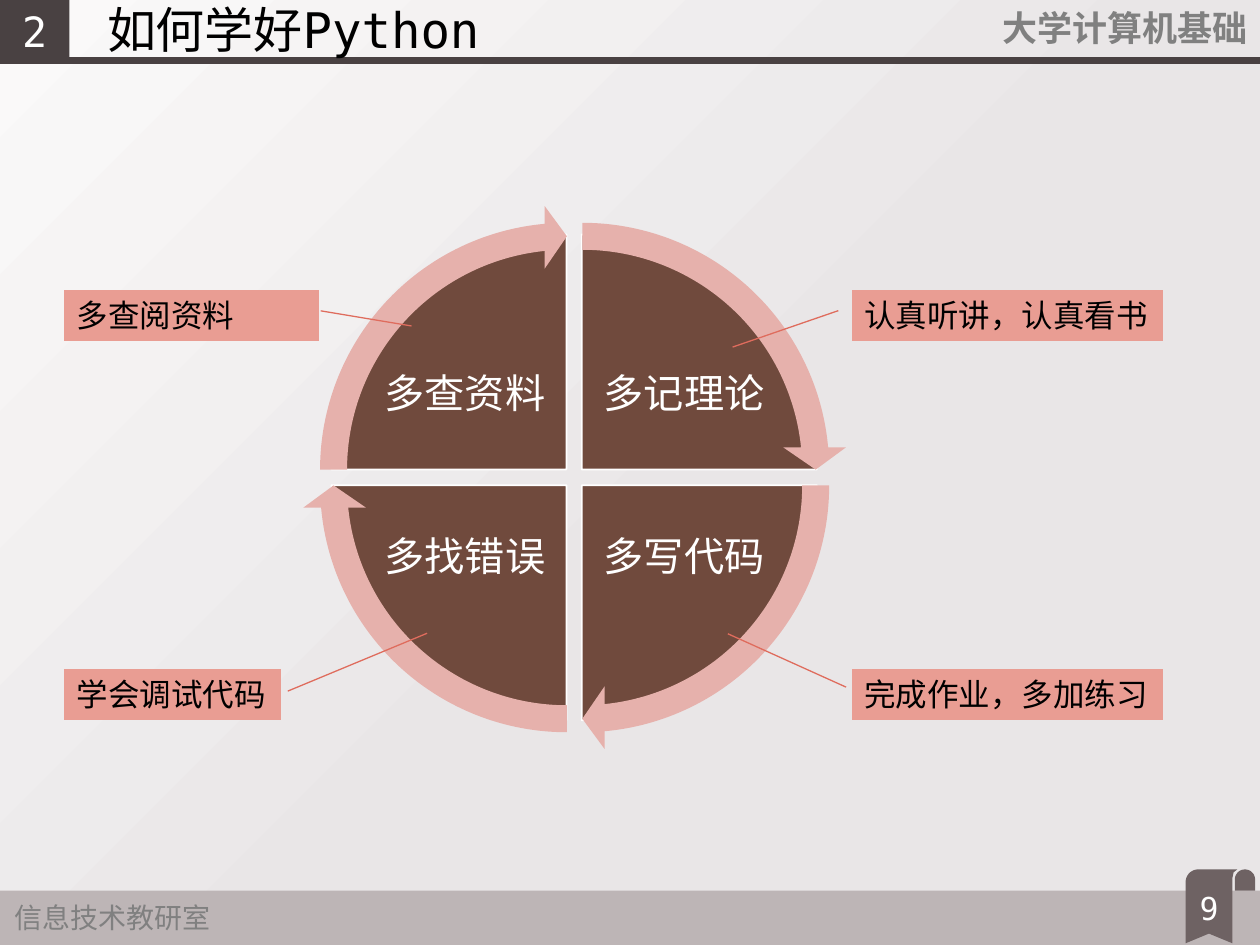
"""Build the slide on how to learn Python, with a four-part cycle."""
from dataclasses import dataclass
from math import cos, radians, sin

from lxml.etree import SubElement
from pptx import Presentation
from pptx.dml.color import RGBColor
from pptx.enum.shapes import MSO_CONNECTOR, MSO_SHAPE
from pptx.enum.text import MSO_ANCHOR, MSO_AUTO_SIZE, PP_ALIGN
from pptx.oxml.ns import qn
from pptx.shapes.autoshape import Shape
from pptx.slide import Slide
from pptx.util import Pt

COLOURS = {
    "light": "FAF9F9", "mist": "E9E6E7", "dark": "494142", "footer": "BDB5B6",
    "ribbon": "6E6263", "grey": "808080", "black": "000000", "white": "FFFFFF",
    "pie": "704A3D", "arrow": "E6B1AC", "note": "E99D93", "leader": "DF6C5D",
}
MONO, CJK = "DejaVu Sans Mono", "Noto Sans CJK JP"
WIDTH, HEIGHT = 720, 540
PIE_SIZE, ARROW_SIZE = 268.56, 302.4
QUARTER, FULL_TURN, HEAD_ANGLE = 54, 216, 3.275


@dataclass
class Frame:
    """Position and size in points."""
    left: float
    top: float
    width: float
    height: float


@dataclass
class Quadrant:
    """One quarter of the cycle, placed by column and row."""
    label: str
    column: int
    row: int
    start: int


@dataclass
class Note:
    """A remark with a leader line to its quadrant."""
    text: str
    frame: Frame
    leader: tuple[float, ...]
    wrap: bool = False


QUADRANTS = [
    Quadrant("多记理论", 1, 0, 162),
    Quadrant("多写代码", 1, 1, 0),
    Quadrant("多找错误", 0, 1, 54),
    Quadrant("多查资料", 0, 0, 108),
]
NOTES = [
    Note("认真听讲，认真看书", Frame(486.7, 165.6, 177.8, 29.1),
         (0.409, -0.043, 1.125, -0.383)),
    Note("完成作业，多加练习", Frame(486.7, 382.3, 177.8, 29.1),
         (0.356, -0.018, -0.693, -0.398)),
    Note("学会调试代码", Frame(36.7, 382.3, 123.8, 29.1),
         (0.434, 1.032, -0.703, 1.675)),
    Note("多查阅资料", Frame(36.7, 165.6, 145.4, 29.1),
         (0.413, 1.008, 0.71, 1.365), wrap=True),
]


def colour(name: str) -> RGBColor:
    """Look up a named colour."""
    return RGBColor.from_string(COLOURS[name])


def write(box: Shape, text: str, *, size: float, ink: str = "black",
          font: str = MONO, bold: bool = False, align: PP_ALIGN = PP_ALIGN.LEFT,
          anchor: MSO_ANCHOR = MSO_ANCHOR.TOP, wrap: bool = True,
          grow: bool = False, spacing: float = 1.0, before: float = 0,
          margins: tuple[float, ...] = (7.2, 3.6, 7.2, 3.6)) -> None:
    """Fill a shape with one formatted paragraph."""
    frame = box.text_frame
    frame.word_wrap = wrap
    frame.auto_size = MSO_AUTO_SIZE.SHAPE_TO_FIT_TEXT if grow else MSO_AUTO_SIZE.NONE
    frame.vertical_anchor = anchor
    (frame.margin_left, frame.margin_top,
     frame.margin_right, frame.margin_bottom) = map(Pt, margins)
    para = frame.paragraphs[0]
    para.alignment = align
    para.line_spacing = spacing
    para.space_before = Pt(before)
    span = para.add_run()
    span.text = text
    span.font.name = font
    span.font.size = Pt(size)
    span.font.bold = bold
    span.font.color.rgb = colour(ink)
    properties = span.font._element
    properties.set("lang", "zh-CN")
    SubElement(properties, qn("a:ea")).set("typeface", CJK)


def paint(shape: Shape, fill: str, line: str | None = None, weight: float = 1) -> None:
    """Give a shape a flat fill and an optional outline."""
    shape.shadow.inherit = False
    shape.fill.solid()
    shape.fill.fore_color.rgb = colour(fill)
    if line is None:
        shape.line.fill.background()
    else:
        shape.line.color.rgb = colour(line)
        shape.line.width = Pt(weight)


def add_box(slide: Slide, frame: Frame, text: str, **style) -> None:
    """Add a text box."""
    box = slide.shapes.add_textbox(
        Pt(frame.left), Pt(frame.top), Pt(frame.width), Pt(frame.height))
    write(box, text, **style)


def add_preset(slide: Slide, kind: MSO_SHAPE, frame: Frame, fill: str,
               line: str | None = None, weight: float = 1,
               adjust: tuple[float, ...] = ()) -> Shape:
    """Add a preset shape with its adjustments."""
    shape = slide.shapes.add_shape(
        kind, Pt(frame.left), Pt(frame.top), Pt(frame.width), Pt(frame.height))
    for index, value in enumerate(adjust):
        shape.adjustments[index] = value
    paint(shape, fill, line, weight)
    return shape


def arc(x: float, y: float, radius: float, start: int, end: int) -> list[tuple]:
    """List points along a clockwise arc."""
    return [(x + radius * cos(radians(angle)), y + radius * sin(radians(angle)))
            for angle in range(start, end + 1, 10)]


def add_ribbon(slide: Slide) -> None:
    """Draw the page number bookmark and its rolled end."""
    roll = arc(711.4, 502.6, 5.8, 180, 360) + [(717.2, 509), (705.6, 509)]
    band = arc(684.7, 504, 7.2, 180, 270) + [
        (707, 496.8), (704.9, 498.5), (704.2, 501.8),
        (704.2, 539), (690.8, 533.5), (677.5, 539)]
    outlines = [[(Pt(x), Pt(y)) for x, y in outline] for outline in (roll, band)]
    builder = slide.shapes.build_freeform(*outlines[0][0], scale=1.0)
    builder.add_line_segments(outlines[0][1:], close=True)
    builder.move_to(*outlines[1][0])
    builder.add_line_segments(outlines[1][1:], close=True)
    paint(builder.convert_to_shape(), "ribbon")


def add_page_furniture(slide: Slide) -> None:
    """Draw the background, header and footer."""
    fill = slide.background.fill
    fill.gradient()
    fill.gradient_angle = 315
    for stop, position, name in zip(fill.gradient_stops, (0, 0.56), ("light", "mist")):
        stop.position = position
        stop.color.rgb = colour(name)
    rule = slide.shapes.add_connector(
        MSO_CONNECTOR.STRAIGHT, Pt(0), Pt(34.6), Pt(WIDTH), Pt(34.6))
    rule.line.color.rgb = colour("dark")
    rule.line.width = Pt(4.5)
    SubElement(rule._element.spPr, qn("a:effectLst"))
    add_preset(slide, MSO_SHAPE.RECTANGLE, Frame(0, 509, WIDTH, 31), "footer")
    add_ribbon(slide)
    add_box(slide, Frame(1.4, 511.2, 127.4, 26.6), "信息技术教研室",
            size=16, ink="grey", font=CJK, wrap=False, grow=True)
    add_box(slide, Frame(563.8, 0, 156.2, 31.7), "大学计算机基础", size=20,
            ink="grey", font=CJK, bold=True, align=PP_ALIGN.RIGHT, grow=True)
    add_box(slide, Frame(39.6, 0.7, 465.1, 35.3), "如何学好Python", size=28,
            anchor=MSO_ANCHOR.MIDDLE, spacing=0.9, margins=(21.6, 3.6, 7.2, 3.6))
    number = add_preset(slide, MSO_SHAPE.RECTANGLE, Frame(0, -0.7, 39.6, 36.7), "dark")
    write(number, "2", size=23.8, ink="white", align=PP_ALIGN.CENTER,
          anchor=MSO_ANCHOR.MIDDLE, before=10)
    add_box(slide, Frame(665.3, 504.7, 51.1, 28.8), "9", size=18, ink="white",
            align=PP_ALIGN.CENTER)


def add_cycle(slide: Slide) -> None:
    """Draw the quarters, their arrows and their notes."""
    for part in QUADRANTS:
        frame = Frame(189.4 + 8.8 * part.column, 134 + 9 * part.row, PIE_SIZE, PIE_SIZE)
        add_preset(slide, MSO_SHAPE.PIE, frame, "pie", "white",
                   adjust=(part.start, (part.start + QUARTER) % FULL_TURN))
        add_box(slide, Frame(216 + 125.3 * part.column, 189.4 + 92.8 * part.row, 99.4, 73.4),
                part.label, size=23, ink="white", align=PP_ALIGN.CENTER,
                anchor=MSO_ANCHOR.MIDDLE, spacing=0.9, margins=(2.2,) * 4)
    for part in QUADRANTS:
        frame = Frame(172.8 + 8.8 * part.column, 117.2 + 9 * part.row,
                      ARROW_SIZE, ARROW_SIZE)
        tip = part.start + QUARTER - HEAD_ANGLE
        add_preset(slide, MSO_SHAPE.CIRCULAR_ARROW, frame, "arrow",
                   adjust=(0.051, HEAD_ANGLE, tip, part.start, 0.059))
    for note in NOTES:
        callout = add_preset(slide, MSO_SHAPE.LINE_CALLOUT_1_NO_BORDER, note.frame,
                             "note", "leader", 0.75, note.leader)
        write(callout, note.text, size=18, wrap=note.wrap, grow=True)


def main() -> None:
    """Build and save the deck."""
    deck = Presentation()
    deck.slide_width, deck.slide_height = Pt(WIDTH), Pt(HEIGHT)
    slide = deck.slides.add_slide(deck.slide_layouts[6])
    add_page_furniture(slide)
    add_cycle(slide)
    deck.save("out.pptx")


if __name__ == "__main__":
    main()
